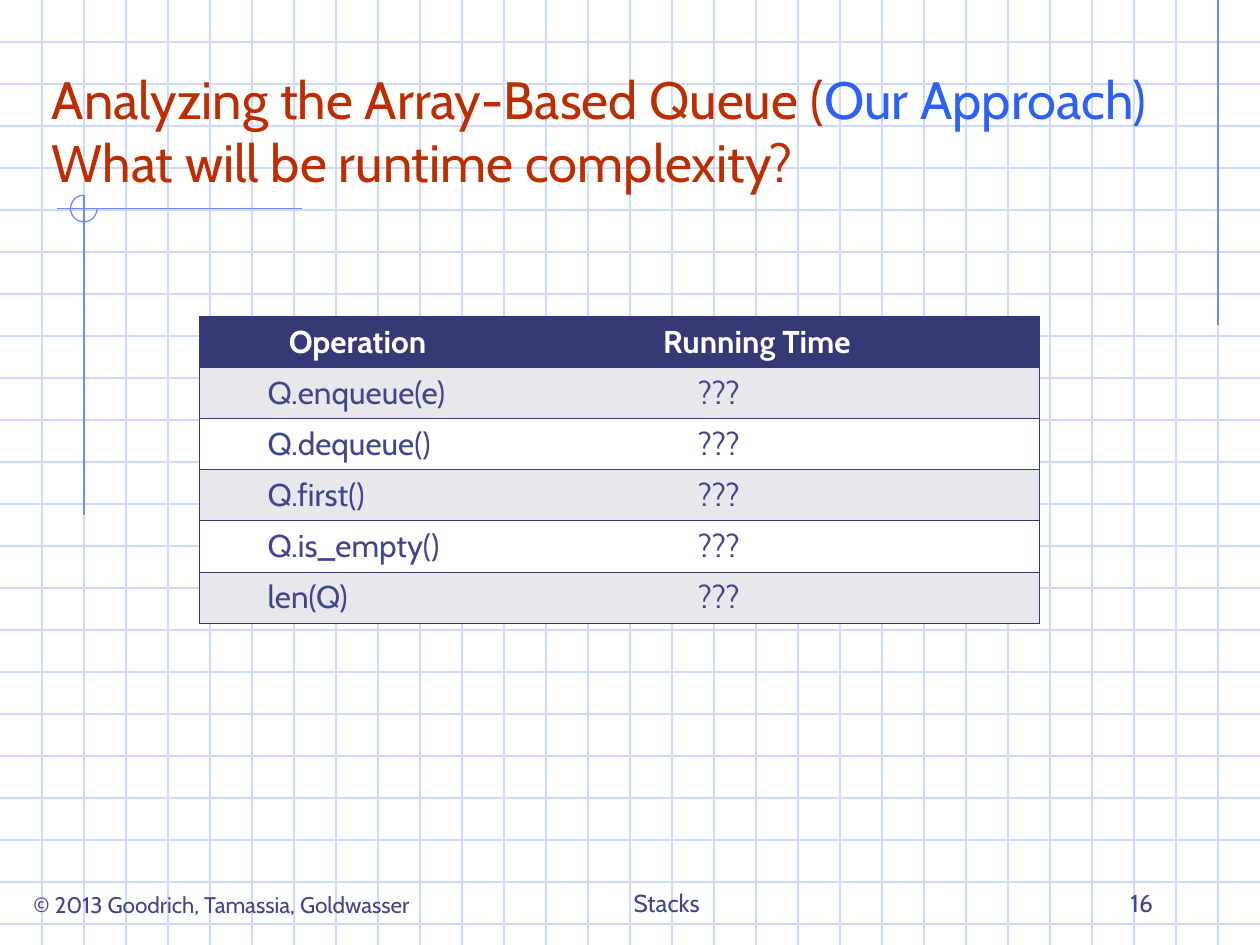
from dataclasses import dataclass

from lxml import etree
from pptx import Presentation
from pptx.dml.color import RGBColor
from pptx.enum.shapes import MSO_CONNECTOR, MSO_SHAPE
from pptx.enum.text import MSO_ANCHOR, PP_ALIGN
from pptx.oxml.ns import qn
from pptx.util import Pt

STRAIGHT = MSO_CONNECTOR.STRAIGHT
ARC = MSO_SHAPE.ARC
BOTTOM = MSO_ANCHOR.BOTTOM
LEFT, CENTER, RIGHT = PP_ALIGN.LEFT, PP_ALIGN.CENTER, PP_ALIGN.RIGHT

SLIDE_W, SLIDE_H = 720, 540
GRID_STEP = 24


@dataclass(frozen=True)
class Theme:
    font: str = "Cabin"
    grid: str = "CFDBFD"
    accent: str = "6F89F7"
    title: str = "BE2D00"
    highlight: str = "2C61F6"
    text: str = "40458C"
    navy: str = "353A77"
    white: str = "FFFFFF"
    band: str = "E8E8EC"
    title_size: float = 30
    table_size: float = 18
    footer_size: float = 14
    copyright_size: float = 12.9
    line_width: float = 0.75
    border_width: float = 0.45


class SlideBuilder:
    def __init__(self, slide, theme):
        self.slide = slide
        self.theme = theme

    def run(self, paragraph, text, size, color, bold=False):
        run = paragraph.add_run()
        run.text = text
        run.font.name = self.theme.font
        run.font.size = Pt(size)
        run.font.bold = bold
        run.font.color.rgb = RGBColor.from_string(color)

    def line(self, x1, y1, x2, y2, color):
        line = self.slide.shapes.add_connector(
            STRAIGHT, Pt(x1), Pt(y1), Pt(x2), Pt(y2))
        line.line.color.rgb = RGBColor.from_string(color)
        line.line.width = Pt(self.theme.line_width)
        etree.SubElement(line._element.spPr, qn("a:effectLst"))

    def three_quarter_circle(self, x, y, size, color):
        arc = self.slide.shapes.add_shape(ARC, Pt(x), Pt(y), Pt(size), Pt(size))
        # Clockwise from the right (0°) to the top (270°)
        arc.adjustments[0] = 0
        arc.adjustments[1] = 162
        arc.shadow.inherit = False
        arc.fill.background()
        arc.line.color.rgb = RGBColor.from_string(color)
        arc.line.width = Pt(self.theme.line_width)

    def text(self, x, y, w, h, lines, size, align=LEFT, bottom_inset=3.6):
        """Each line is a list of (text, colour) runs."""
        frame = self.slide.shapes.add_textbox(
            Pt(x), Pt(y), Pt(w), Pt(h)).text_frame
        frame.word_wrap = True
        frame.vertical_anchor = BOTTOM
        frame.margin_bottom = Pt(bottom_inset)
        paragraph = frame.paragraphs[0]
        paragraph.alignment = align
        for number, runs in enumerate(lines):
            if number:
                paragraph.add_line_break()
            for text, color in runs:
                self.run(paragraph, text, size, color)

    def borders(self, cell, visible):
        """Draw the sides named in visible; hide the other sides."""
        properties = cell._tc.get_or_add_tcPr()
        for index, side in enumerate("LRTB"):
            border = etree.Element(
                qn(f"a:ln{side}"), w=str(Pt(self.theme.border_width)))
            if side in visible:
                fill = etree.SubElement(border, qn("a:solidFill"))
                etree.SubElement(fill, qn("a:srgbClr"), val=self.theme.navy)
            else:
                etree.SubElement(border, qn("a:noFill"))
            properties.insert(index, border)

    def table(self, x, y, widths, row_height, rows, header_indents, body_indents):
        theme = self.theme
        table = self.slide.shapes.add_table(
            len(rows), len(widths), Pt(x), Pt(y),
            Pt(sum(widths)), Pt(row_height * len(rows))).table
        table.first_row = False
        table.horz_banding = False
        for column, width in zip(table.columns, widths):
            column.width = Pt(width)
        for r, values in enumerate(rows):
            table.rows[r].height = Pt(row_height)
            header = r == 0
            indents = header_indents if header else body_indents
            color = theme.white if header else theme.text
            background = (theme.navy if header
                          else theme.band if r % 2 else theme.white)
            for c, value in enumerate(values):
                cell = table.cell(r, c)
                cell.margin_left = Pt(indents[c])
                cell.fill.solid()
                cell.fill.fore_color.rgb = RGBColor.from_string(background)
                self.borders(cell, "LTB" if c == 0 else "RTB")
                self.run(cell.text_frame.paragraphs[0], value,
                         theme.table_size, color, header)


def main():
    presentation = Presentation()
    presentation.slide_width = Pt(SLIDE_W)
    presentation.slide_height = Pt(SLIDE_H)
    theme = Theme()
    page = SlideBuilder(
        presentation.slides.add_slide(presentation.slide_layouts[6]), theme)

    # Graph-paper background
    for y in range(GRID_STEP, SLIDE_H, GRID_STEP):
        page.line(0, y, SLIDE_W, y, theme.grid)
    for x in range(GRID_STEP, SLIDE_W, GRID_STEP):
        page.line(x, 0, x, SLIDE_H, theme.grid)

    # Accent lines and circle
    page.line(696, 0, 696, 186, theme.accent)
    page.line(172.8, 119.3, 32.4, 119.3, theme.accent)
    page.line(48, 111.6, 48, 294.5, theme.accent)
    page.three_quarter_circle(40.3, 111.6, 15.2, theme.accent)

    # Title
    page.text(22.5, 22.5, 690, 90, [
        [("Analyzing the Array-Based Queue (", theme.title),
         ("Our Approach)", theme.highlight)],
        [("What will be runtime complexity?", theme.title)],
    ], theme.title_size, bottom_inset=2)

    # Footer
    footer = [
        (12, 270, "© 2013 Goodrich, Tamassia, Goldwasser",
         theme.copyright_size, LEFT),
        (288, 186, "Stacks", theme.footer_size, CENTER),
        (516, 150, "16", theme.footer_size, RIGHT),
    ]
    for x, width, label, size, align in footer:
        page.text(x, 492, width, 36, [[(label, theme.text)]], size, align)

    # Running times
    operations = ["Q.enqueue(e)", "Q.dequeue()", "Q.first()",
                  "Q.is_empty()", "len(Q)"]
    rows = [("Operation", "Running Time")]
    rows += [(operation, "???") for operation in operations]
    page.table(114, 180.8, [222, 258], 29.2, rows,
               header_indents=[51, 43], body_indents=[39, 63])

    presentation.save("out.pptx")


if __name__ == "__main__":
    main()
